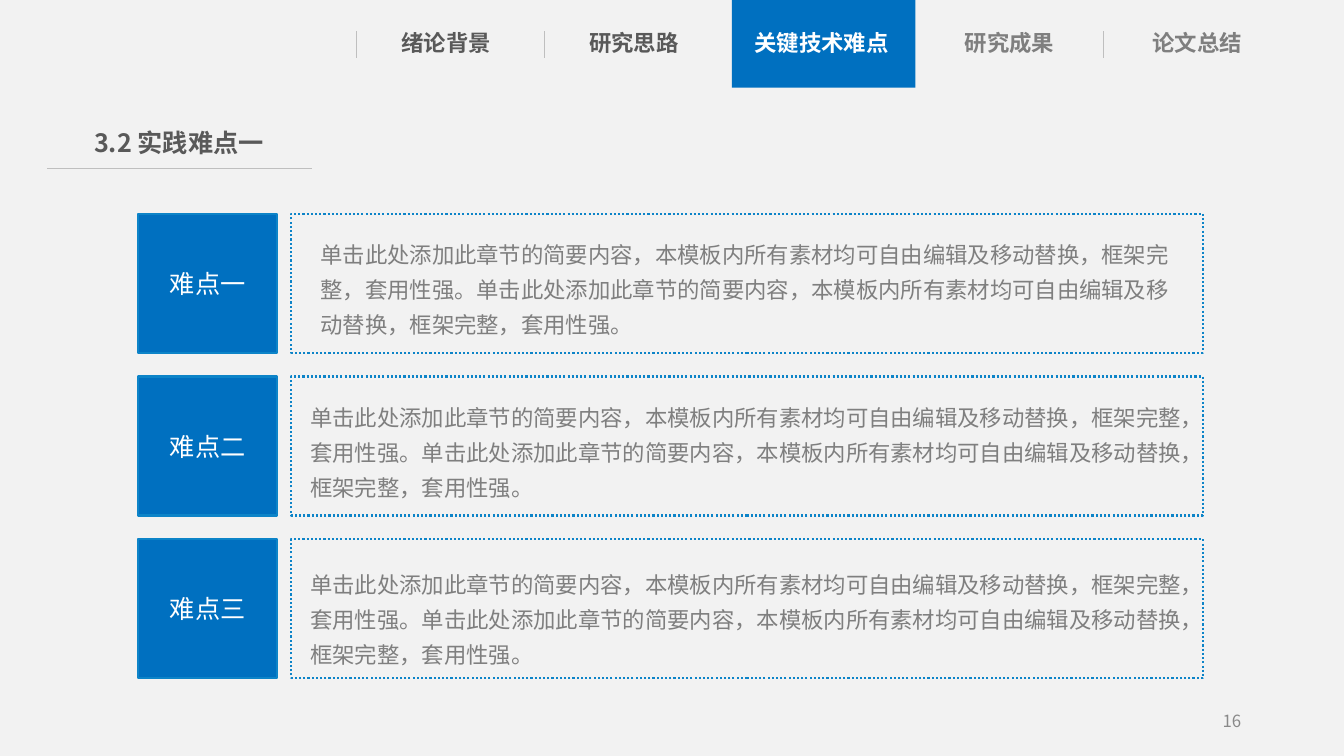
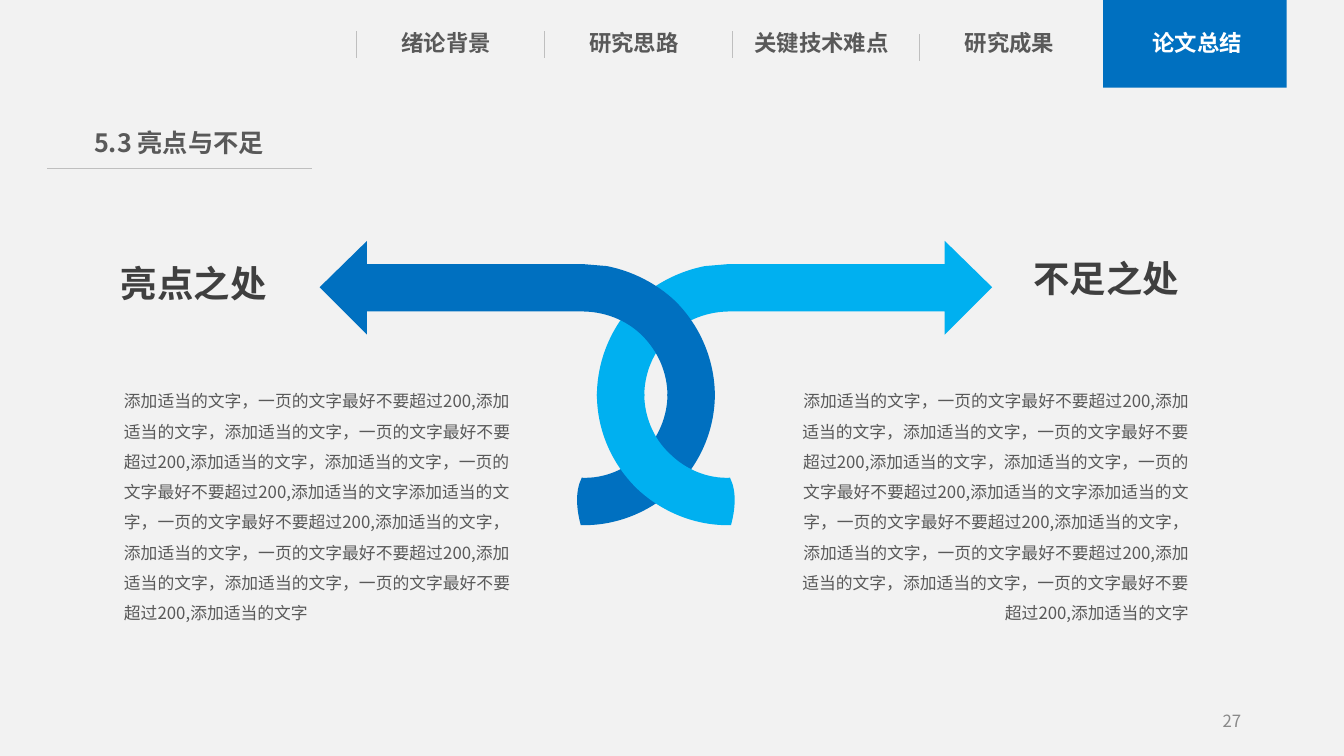
"""Build two thesis-defence slides: key difficulties, and strengths with weaknesses."""
import pptx
import pptx.dml.color
import pptx.enum.dml
import pptx.enum.shapes
import pptx.enum.text
import pptx.oxml
import pptx.oxml.ns
import pptx.util
from pptx.util import Inches

FONT = "Noto Sans CJK SC"
BACKGROUND, WHITE = "F2F2F2", "FFFFFF"
BLUE, BLUE_EDGE, SKY = "0070C0", "0D84C8", "00B0F0"
INK, TEXT, MUTED, PAGE_GREY, RULE = "3F3F3F", "595959", "7F7F7F", "898989", "BFBFBF"
ALIGN = pptx.enum.text.PP_ALIGN
ANCHOR = pptx.enum.text.MSO_ANCHOR
WIDTH, HEIGHT = 13.33, 7.5

SECTIONS = ("绪论背景", "研究思路", "关键技术难点", "研究成果", "论文总结")
DIVIDERS = ((3.53, 0.31), (5.4, 0.31), (7.26, 0.31), (9.12, 0.34), (10.94, 0.31))
DIFFICULTIES = (
    ("难点一", 3.08, 2.26, 8.74),
    ("难点二", 2.98, 3.88, 8.86),
    ("难点三", 2.98, 5.54, 8.86),
)
SUMMARY = "单击此处添加此章节的简要内容，本模板内所有素材均可自由编辑及移动替换，框架完整，套用性强。" * 2
FILLER = "添加适当的文字"
ADVICE = FILLER + "，一页的文字最好不要超过200,"
REVIEW = ((FILLER + "，").join([ADVICE] * 3) + FILLER) * 2

MIRROR_SUM = 13.01
ARROW_HEAD = (
    [(3.64, 2.39)], [(3.17, 2.85)], [(3.64, 3.32)], [(3.64, 3.09)], [(5.77, 3.09)],
    [(5.99, 3.09), (6.21, 3.17), (6.37, 3.33)],
    [(6.53, 3.49), (6.62, 3.7), (6.62, 3.93)],
    [(7.09, 3.93)],
    [(7.09, 3.58), (6.95, 3.24), (6.7, 2.99)],
    [(6.51, 2.81), (6.27, 2.69), (6.02, 2.64)],
    [(5.78, 2.62)], [(3.64, 2.62)],
)
ARROW_TAIL = (
    [(7.09, 3.91)],
    [(7.09, 4.26), (6.95, 4.59), (6.7, 4.84)],
    [(6.45, 5.08), (6.11, 5.22), (5.76, 5.21)],
    [(5.72, 5.06), (5.7, 4.88), (5.77, 4.74)],
    [(5.99, 4.75), (6.21, 4.66), (6.37, 4.5)],
    [(6.53, 4.35), (6.62, 4.13), (6.62, 3.91)],
)


def color(hex_value):
    """Return the RGB colour for a hex string."""
    return pptx.dml.color.RGBColor.from_string(hex_value)


def drawing_element(tag, attributes=""):
    """Return an empty DrawingML element."""
    return pptx.oxml.parse_xml(f'<a:{tag} {pptx.oxml.ns.nsdecls("a")} {attributes}/>')


def write(shape, text, size=12, ink=TEXT, bold=False, align=ALIGN.LEFT,
          anchor=ANCHOR.TOP, spacing=None, insets=(0.1, 0.05)):
    """Fill a shape with one formatted paragraph."""
    frame = shape.text_frame
    frame.word_wrap = True
    frame.vertical_anchor = anchor
    frame.margin_left = frame.margin_right = Inches(insets[0])
    frame.margin_top = frame.margin_bottom = Inches(insets[1])
    paragraph = frame.paragraphs[0]
    paragraph.alignment = align
    if spacing:
        paragraph.line_spacing = spacing
    run = paragraph.add_run()
    run.text = text
    run.font.size = pptx.util.Pt(size)
    run.font.bold = bold
    run.font.color.rgb = color(ink)
    run.font.name = FONT
    run.font._element.append(drawing_element("ea", f'typeface="{FONT}"'))


def add_text(slide, box, text, **style):
    """Add a text box at left, top, width, height."""
    write(slide.shapes.add_textbox(*map(Inches, box)), text, **style)


def paint(shape, fill=None, edge=None, dash=None):
    """Set the fill and outline of a shape and drop its shadow."""
    shape.shadow.inherit = False
    if fill:
        shape.fill.solid()
        shape.fill.fore_color.rgb = color(fill)
    else:
        shape.fill.background()
    if edge:
        shape.line.color.rgb = color(edge)
        shape.line.width = pptx.util.Pt(1.5)
        if dash:
            shape.line.dash_style = dash
    else:
        shape.line.fill.background()
    return shape


def add_block(slide, box, **look):
    """Add a painted rectangle."""
    kind = pptx.enum.shapes.MSO_SHAPE.RECTANGLE
    return paint(slide.shapes.add_shape(kind, *map(Inches, box)), **look)


def add_rule(slide, *ends):
    """Add a thin grey line from x, y to x, y."""
    rule = slide.shapes.add_connector(
        pptx.enum.shapes.MSO_CONNECTOR.STRAIGHT, *map(Inches, ends))
    rule.line.color.rgb = color(RULE)
    rule.line.width = pptx.util.Pt(0.5)
    rule._element.spPr.append(drawing_element("effectLst"))


def add_outline(slide, segments, fill):
    """Add a closed freeform of straight (one point) and cubic (three point) segments."""
    start, *others = [(Inches(x), Inches(y)) for segment in segments for x, y in segment]
    builder = slide.shapes.build_freeform(*start)
    builder.add_line_segments(others, close=True)
    outline = paint(builder.convert_to_shape(), fill=fill)
    steps = iter(list(outline._element.iter(pptx.oxml.ns.qn("a:lnTo"))))
    for segment in segments[1:]:
        group = [next(steps) for _ in segment]
        if len(group) == 3:
            curve = drawing_element("cubicBezTo")
            group[0].addprevious(curve)
            for step in group:
                curve.append(step[0])
                step.getparent().remove(step)


def mirrored(segments):
    """Reflect segments across the axis between the two arrows."""
    return [[(MIRROR_SUM - x, y) for x, y in segment] for segment in segments]


def add_page(deck, active, title, number):
    """Add a slide with its navigation tabs, title and page number."""
    slide = deck.slides.add_slide(deck.slide_layouts[6])
    add_text(slide, (9.41, 6.95, 3, 0.4), number, ink=PAGE_GREY,
             align=ALIGN.RIGHT, anchor=ANCHOR.MIDDLE)
    add_block(slide, (0, 0, WIDTH, 0.87), fill=BACKGROUND)
    add_block(slide, (DIVIDERS[active][0], 0, 1.82, 0.87), fill=BLUE)
    for i, (section, (edge, top)) in enumerate(zip(SECTIONS, DIVIDERS)):
        if i not in (active, active + 1):
            add_rule(slide, edge, top, edge, top + 0.27)
        ink = WHITE if i == active else TEXT if i < active else MUTED
        add_text(slide, (3.69 + 7.45 * i / 4, 0.24, 1.47, 0.38), section, size=16,
                 ink=ink, bold=True, align=ALIGN.CENTER, insets=(0, 0.05))
    add_rule(slide, 0.47, 1.67, 3.09, 1.67)
    add_text(slide, (0.74, 1.21, 2.07, 0.42), title, size=18, bold=True,
             align=ALIGN.CENTER, insets=(0, 0.05))
    return slide


def add_backdrop(deck, slide):
    """Put the grey backdrop on the slide master."""
    backdrop = add_block(slide, (0, 0, WIDTH, HEIGHT), fill=BACKGROUND)
    deck.slide_master.shapes._spTree.insert(2, backdrop._element)


def add_difficulties(slide):
    """Add the labelled rows of difficulties."""
    for i, (label, left, top, width) in enumerate(DIFFICULTIES):
        row_top = 2.12 + 3.23 * i / 2
        tile = add_block(slide, (1.37, row_top, 1.38, 1.38), fill=BLUE, edge=BLUE_EDGE)
        write(tile, label, size=18, ink=WHITE, align=ALIGN.CENTER, anchor=ANCHOR.MIDDLE)
        add_block(slide, (2.89, row_top, 9.04, 1.38), edge=BLUE_EDGE,
                  dash=pptx.enum.dml.MSO_LINE.ROUND_DOT)
        add_text(slide, (left, top, width, 1.15), SUMMARY, size=16, ink=MUTED, spacing=1.3)


def add_linked_arrows(slide):
    """Add the two interlocking arrows."""
    add_outline(slide, mirrored(ARROW_HEAD), SKY)
    add_outline(slide, ARROW_HEAD, BLUE)
    add_outline(slide, ARROW_TAIL, BLUE)
    add_outline(slide, mirrored(ARROW_TAIL), SKY)


def add_review(slide):
    """Add the strengths and weaknesses columns."""
    columns = (
        ("亮点之处", (1.1, 2.54, 1.7, 0.55), (1.1, 3.72, 4.14, 2.55), ALIGN.LEFT),
        ("不足之处", (10.15, 2.49, 1.7, 0.55), (7.73, 3.72, 4.19, 2.55), ALIGN.RIGHT),
    )
    for heading, heading_box, body_box, align in columns:
        add_text(slide, heading_box, heading, size=26, ink=INK, bold=True)
        add_text(slide, body_box, REVIEW, align=align, spacing=1.5, insets=(0.13, 0.06))


def main():
    """Build and save the deck."""
    deck = pptx.Presentation()
    deck.slide_width, deck.slide_height = Inches(WIDTH), Inches(HEIGHT)
    difficulties = add_page(deck, 2, "3.2 实践难点一", "16")
    add_backdrop(deck, difficulties)
    add_difficulties(difficulties)
    summary = add_page(deck, 4, "5.3 亮点与不足", "27")
    add_linked_arrows(summary)
    add_review(summary)
    deck.save("out.pptx")


if __name__ == "__main__":
    main()
